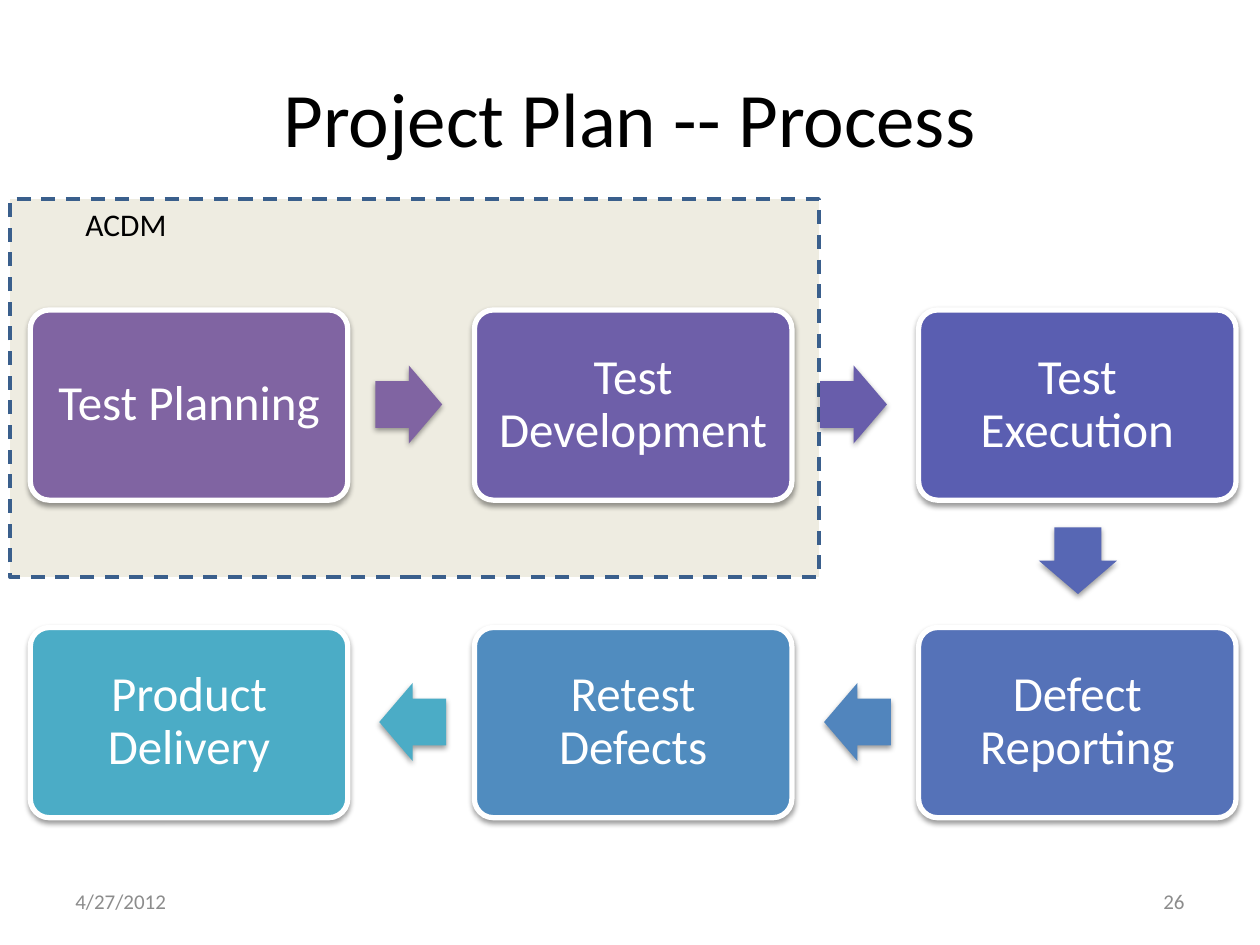
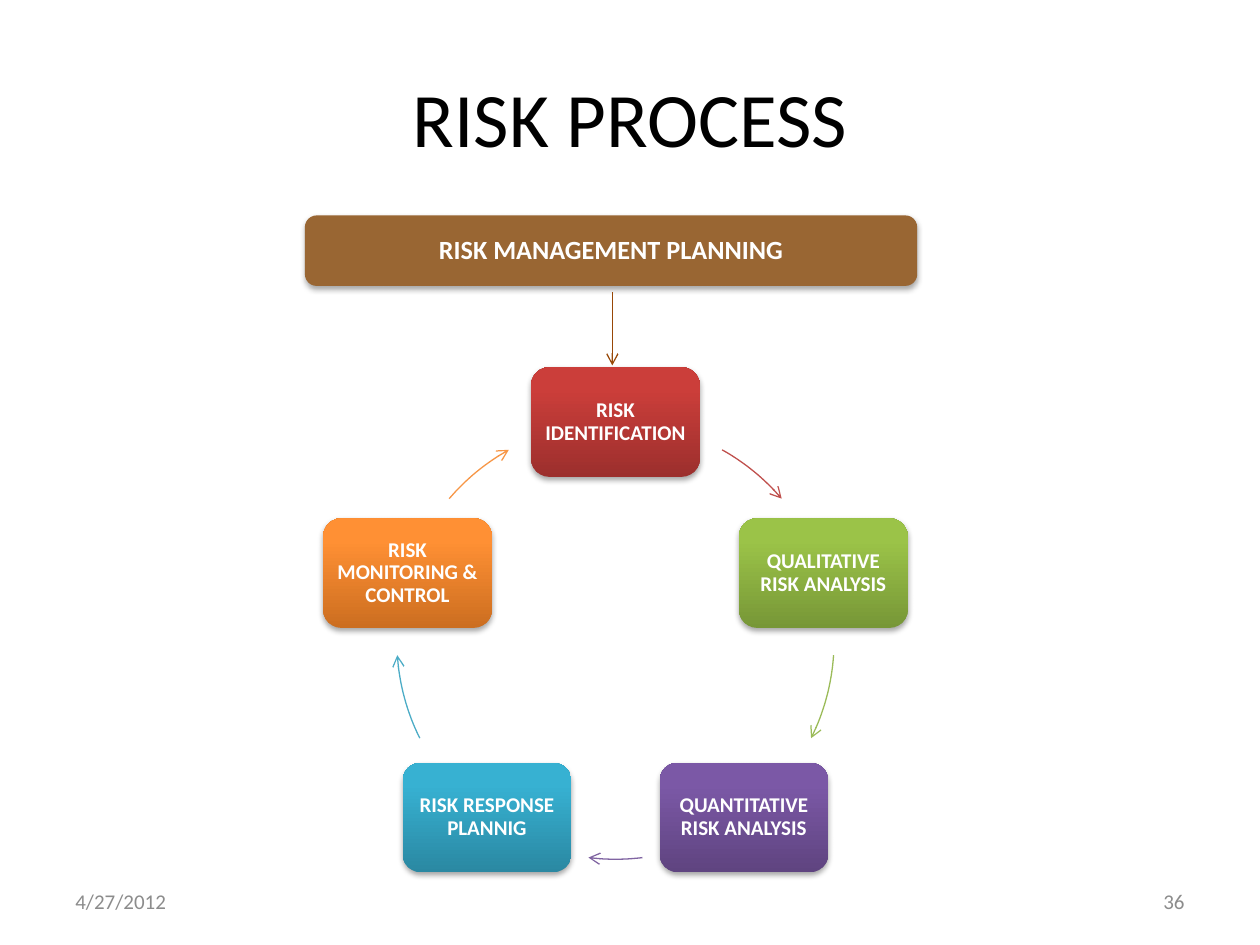
from math import cos, radians, sin

from lxml import etree
from pptx import Presentation
from pptx.dml.color import RGBColor
from pptx.enum import dml, shapes, text
from pptx.oxml import ns
from pptx.util import Inches, Pt

WHITE = RGBColor(0xFF, 0xFF, 0xFF)
BLACK = RGBColor(0, 0, 0)
GREY = RGBColor(0x8C, 0x8C, 0x8C)
SAND = RGBColor(0xEE, 0xEC, 0xE1)
NAVY = RGBColor(0x3A, 0x5F, 0x8C)
BROWN = RGBColor(0x99, 0x66, 0x33)
RUST = RGBColor(0x98, 0x48, 0x07)
FONT = "Calibri"
KIND = shapes.MSO_SHAPE
ALIGN = text.PP_ALIGN
MIDDLE = text.MSO_ANCHOR.MIDDLE


def write(shape, words, size, color, align=ALIGN.LEFT, bold=False, inset=None):
    frame = shape.text_frame
    frame.word_wrap = True
    frame.vertical_anchor = MIDDLE
    if inset is not None:
        frame.margin_left = frame.margin_right = Inches(inset)
        frame.margin_top = frame.margin_bottom = Inches(inset)
    frame.text = words
    par = frame.paragraphs[0]
    par.alignment = align
    if inset is not None:
        par.line_spacing = 0.9
    par.font.name, par.font.size, par.font.bold = FONT, Pt(size), bold
    par.font.color.rgb = color


def effect(shape, alpha=0, tip=False):
    """Give the shape a soft shadow of alpha percent, or none, and an open arrow tip."""
    props = shape._element.spPr
    if tip:
        line = shape.line._get_or_add_ln()
        etree.SubElement(line, ns.qn("a:tailEnd"), type="arrow")
    old = props.find(ns.qn("a:effectLst"))
    if old is not None:
        props.remove(old)
    effects = etree.SubElement(props, ns.qn("a:effectLst"))
    if alpha:
        soft = etree.SubElement(effects, ns.qn("a:outerShdw"), blurRad="40000",
                                dist="21500", dir="5400000", rotWithShape="0")
        tone = etree.SubElement(soft, ns.qn("a:srgbClr"), val="000000")
        etree.SubElement(tone, ns.qn("a:alpha"), val=str(alpha * 1000))


deck = Presentation()
deck.slide_width, deck.slide_height = Inches(10), Inches(7.5)

# Title, date and number on every slide
pages = []
for heading, number in (("Project Plan -- Process", "26"), ("RISK PROCESS", "36")):
    page = deck.slides.add_slide(deck.slide_layouts[5])
    title = page.shapes.title
    title.left, title.top = Inches(0.5), Inches(0.3)
    title.width, title.height = Inches(9), Inches(1.25)
    write(title, heading, 44, BLACK, ALIGN.CENTER)
    for left, words, align in ((0.5, "4/27/2012", ALIGN.LEFT), (7.17, number, ALIGN.RIGHT)):
        foot = page.shapes.add_textbox(Inches(left), Inches(6.95), Inches(2.33), Inches(0.4))
        write(foot, words, 12, GREY, align)
    pages.append(page)
plan, risk = (page.shapes for page in pages)

# Project plan: two rows of steps, the second running back
zone = plan.add_shape(KIND.RECTANGLE, Inches(0.08), Inches(1.58), Inches(6.42), Inches(3))
zone.fill.solid()
zone.fill.fore_color.rgb = SAND
zone.line.color.rgb = NAVY
zone.line.width = Pt(2)
zone.line.dash_style = dml.MSO_LINE.DASH
zone.shadow.inherit = False

steps = [("Test Planning", 0, 0, "8064A2"), ("Test Development", 1, 0, "6E5FA9"),
         ("Test Execution", 2, 0, "5A5EB1"), ("Defect Reporting", 2, 1, "5572B8"),
         ("Retest Defects", 1, 1, "508CBF"), ("Product Delivery", 0, 1, "4BACC6")]
for words, col, row, tone in steps:
    step = plan.add_shape(KIND.ROUNDED_RECTANGLE, Inches(0.24 + 3.525 * col),
                          Inches(2.46 + 2.52 * row), Inches(2.52), Inches(1.51))
    step.adjustments[0] = 0.1
    step.fill.solid()
    step.fill.fore_color.rgb = RGBColor.from_string(tone)
    step.line.color.rgb = WHITE
    step.line.width = Pt(3)
    write(step, words, 28, WHITE, ALIGN.CENTER, inset=0.12)
    effect(step, 38)

arrows = [(2.98, 2.9, 0, "8064A2"), (6.51, 2.9, 0, "685DAB"), (8.29, 4.14, 90, "5767B4"),
          (6.54, 5.42, 180, "5185BD"), (3.01, 5.42, 180, "4BACC6")]
for left, top, turn, tone in arrows:
    arrow = plan.add_shape(KIND.RIGHT_ARROW, Inches(left), Inches(top), Inches(0.53), Inches(0.62))
    arrow.adjustments[0], arrow.adjustments[1] = 0.6, 0.5
    arrow.rotation = turn
    arrow.fill.solid()
    arrow.fill.fore_color.rgb = RGBColor.from_string(tone)
    arrow.line.fill.background()
    effect(arrow, 38)

label = plan.add_textbox(Inches(0.58), Inches(1.58), Inches(3.58), Inches(0.4))
write(label, "ACDM", 18, BLACK)

# Risk process: five stages clockwise on a ring, each followed by an arc
MID_X, MID_Y, RADIUS = 4.885, 5.085, 1.735
RING_X, RING_Y = Inches(MID_X - RADIUS), Inches(MID_Y - RADIUS)
RING = Inches(2 * RADIUS)
WIDE, HIGH = 1.34, 0.87
PARTS = 16
stages = [("RISK IDENTIFICATION", "9C2F2D", "CB3E3A", "C0504D", -60.8, -40.5),
          ("QUALITATIVE RISK ANALYSIS", "779737", "9BC348", "9BBB59", 3.8, 26.5),
          ("QUANTITATIVE RISK ANALYSIS", "5F4480", "7B58A6", "8064A2", 82.9, 97.1),
          ("RISK RESPONSE PLANNIG", "2A88A2", "37B1D2", "4BACC6", 153.5, 176.2),
          ("RISK MONITORING & CONTROL", "CC6E20", "FF9034", "F79646", 220.5, 240.8)]
for i, (words, dark, light, tone, start, end) in enumerate(stages):
    angle = radians(72 * i - 90)
    stage = risk.add_shape(KIND.ROUNDED_RECTANGLE,
                           Inches(MID_X + RADIUS * cos(angle) - WIDE / 2),
                           Inches(MID_Y + RADIUS * sin(angle) - HIGH / 2),
                           Inches(WIDE), Inches(HIGH))
    stage.fill.gradient()
    stage.fill.gradient_angle = 90
    for stop, shade, place in zip(stage.fill.gradient_stops, (dark, light), (0, 0.8)):
        stop.color.rgb = RGBColor.from_string(shade)
        stop.position = place
    stage.line.fill.background()
    write(stage, words, 12, WHITE, ALIGN.CENTER, True, 0.05)
    effect(stage, 35)

    turns = [radians(start + (end - start) * n / PARTS) for n in range(PARTS + 1)]
    dots = [(Inches(MID_X + RADIUS * cos(t)), Inches(MID_Y + RADIUS * sin(t))) for t in turns]
    pen = risk.build_freeform(*dots[0])
    pen.add_line_segments(dots[1:], close=False)
    arc = pen.convert_to_shape()
    # Let the frame of each arc span the whole ring
    for track in arc._element.iter(ns.qn("a:path")):
        track.set("w", str(RING))
        track.set("h", str(RING))
    for dot in arc._element.iter(ns.qn("a:pt")):
        dot.set("x", str(int(dot.get("x")) + arc.left - RING_X))
        dot.set("y", str(int(dot.get("y")) + arc.top - RING_Y))
    arc.left, arc.top, arc.width, arc.height = RING_X, RING_Y, RING, RING
    arc.fill.background()
    arc.line.color.rgb = RGBColor.from_string(tone)
    arc.line.width = Pt(0.75)
    effect(arc, tip=True)

banner = risk.add_shape(KIND.ROUNDED_RECTANGLE, Inches(2.42), Inches(1.71), Inches(4.86), Inches(0.56))
banner.fill.solid()
banner.fill.fore_color.rgb = BROWN
banner.line.fill.background()
write(banner, "RISK MANAGEMENT PLANNING", 15, WHITE, ALIGN.CENTER, True, 0.06)
effect(banner, 35)

entry = risk.add_connector(shapes.MSO_CONNECTOR.STRAIGHT, Inches(4.86), Inches(2.32),
                           Inches(4.86), Inches(2.9))
entry.line.color.rgb = RUST
entry.line.width = Pt(0.75)
effect(entry, tip=True)

deck.save("out.pptx")
